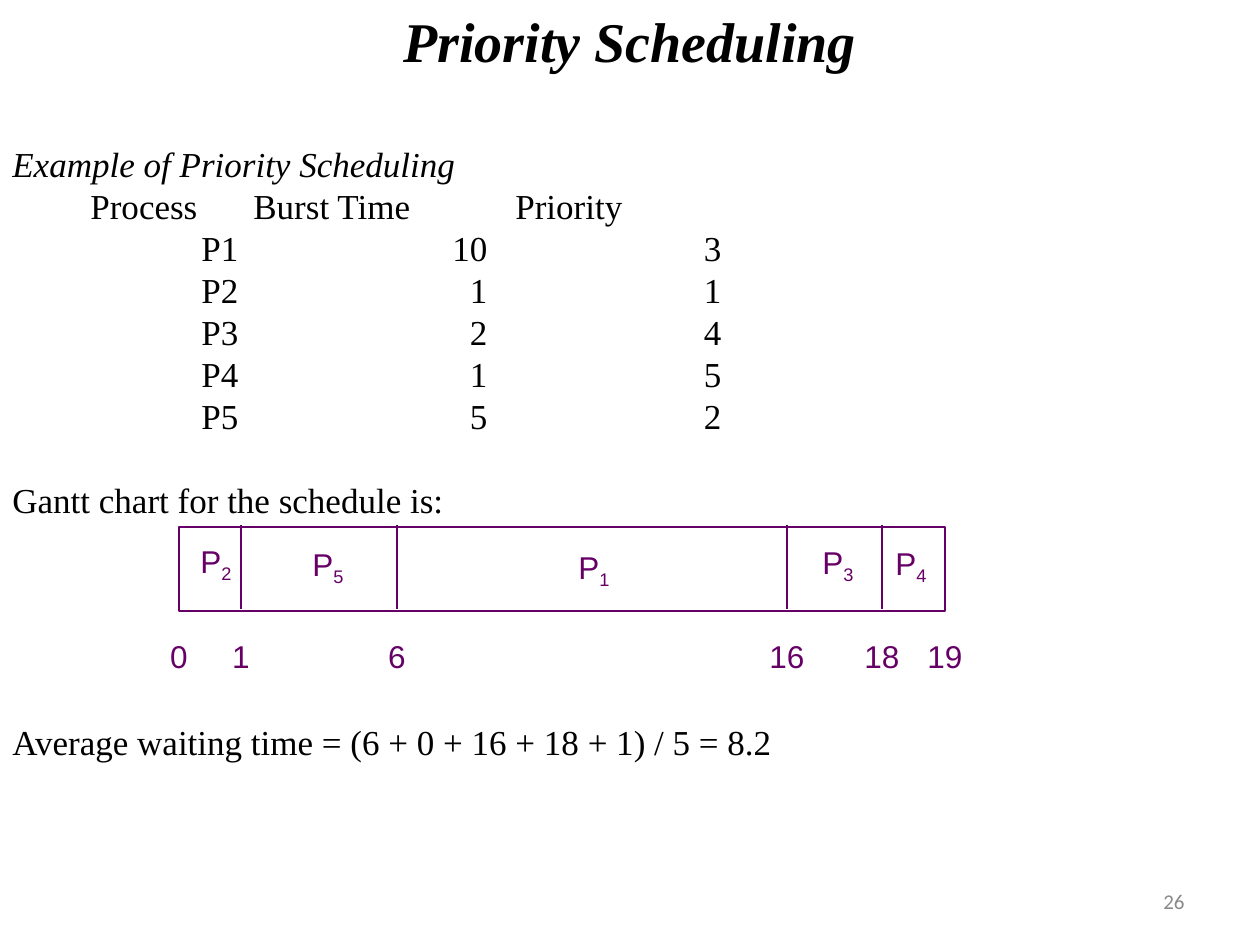
from dataclasses import dataclass

from lxml import etree
from pptx import Presentation
from pptx.dml.color import RGBColor
from pptx.enum.shapes import MSO_CONNECTOR, MSO_SHAPE
from pptx.enum.text import MSO_ANCHOR, PP_ALIGN
from pptx.oxml.ns import qn
from pptx.util import Emu, Pt

LEFT, CENTER, RIGHT = PP_ALIGN.LEFT, PP_ALIGN.CENTER, PP_ALIGN.RIGHT
TOP, MIDDLE = MSO_ANCHOR.TOP, MSO_ANCHOR.MIDDLE
RECTANGLE = MSO_SHAPE.RECTANGLE
STRAIGHT = MSO_CONNECTOR.STRAIGHT
PX_PER_INCH = 126
SLIDE_W, SLIDE_H = 1260, 945


@dataclass(frozen=True)
class Theme:
    ink: RGBColor = RGBColor(0x00, 0x00, 0x00)
    paper: RGBColor = RGBColor(0xFF, 0xFF, 0xFF)
    gantt: RGBColor = RGBColor(0x66, 0x00, 0x66)
    muted: RGBColor = RGBColor(0x89, 0x89, 0x89)
    serif: str = "Times New Roman"
    sans: str = "Arial"
    footer_font: str = "Calibri"
    title_size: int = 32
    body_size: int = 20
    label_size: int = 18
    footer_size: int = 12
    body_leading: int = 24
    line_width: float = 0.75


THEME = Theme()

HEADER = ("Process", "Burst Time", "Priority")
HEADER_TABS = ((78, "l"), (241, "l"), (503, "l"))
PROCESSES = (("P1", 10, 3), ("P2", 1, 1), ("P3", 2, 4), ("P4", 1, 5), ("P5", 5, 2))
PROCESS_TABS = ((189, "l"), (475, "r"), (709, "r"))

BAR_TOP, BAR_HEIGHT = 527, 84
TIME_MARKS = ((0, 179), (1, 241), (6, 397), (16, 787), (18, 882), (19, 945))
# process number, centre x, centre y
BAR_LABELS = ((2, 216, 563), (5, 328, 566), (1, 594, 569), (3, 838, 564), (4, 911, 565))


def px(length):
    return Emu(round(length * 914400 / PX_PER_INCH))


def add_run(paragraph, text, *, size=THEME.body_size, font=THEME.serif,
            color=THEME.ink, bold=False, italic=False, baseline=0):
    """Append a run; baseline is a percentage, negative for a subscript."""
    run = paragraph.add_run()
    run.text = text
    run.font.size, run.font.name = Pt(size), font
    run.font.bold, run.font.italic = bold, italic
    run.font.color.rgb = color
    if baseline:
        run.font._element.set("baseline", str(baseline * 1000))


def add_text_box(slide, left, top, width, height, *, align=LEFT, anchor=TOP, wrap=True):
    """Add an empty text box and return its text frame."""
    frame = slide.shapes.add_textbox(px(left), px(top), px(width), px(height)).text_frame
    frame.word_wrap = wrap
    frame.vertical_anchor = anchor
    frame.paragraphs[0].alignment = align
    return frame


def set_tabs(paragraph, tabs):
    tab_list = etree.SubElement(paragraph._p.get_or_add_pPr(), qn("a:tabLst"))
    for position, alignment in tabs:
        etree.SubElement(tab_list, qn("a:tab"), pos=str(px(position)), algn=alignment)


def add_body_line(frame, text, tabs=(), space_before=0, **text_format):
    paragraph = frame.add_paragraph() if frame.text else frame.paragraphs[0]
    paragraph.line_spacing = Pt(THEME.body_leading)
    if space_before:
        paragraph.space_before = Pt(space_before)
    if tabs:
        set_tabs(paragraph, tabs)
    add_run(paragraph, text, **text_format)


def add_table_line(frame, cells, tabs):
    add_body_line(frame, "".join(f"\t{cell}" for cell in cells), tabs)


def add_example(slide):
    example = add_text_box(slide, 0, 136, SLIDE_W, 391)
    add_body_line(example, "Example of Priority Scheduling", italic=True)
    add_table_line(example, HEADER, HEADER_TABS)
    for process in PROCESSES:
        add_table_line(example, process, PROCESS_TABS)
    add_body_line(example, "Gantt chart for the schedule is:",
                  space_before=THEME.body_leading)


def add_gantt_label(slide, center_x, center_y, text, subscript=""):
    width, height = 60, 54
    frame = add_text_box(slide, center_x - width // 2, center_y - height // 2,
                         width, height, align=CENTER, anchor=MIDDLE, wrap=False)
    label_format = dict(size=THEME.label_size, font=THEME.sans, color=THEME.gantt)
    add_run(frame.paragraphs[0], text, **label_format)
    if subscript:
        add_run(frame.paragraphs[0], subscript, baseline=-25, **label_format)


def add_divider(slide, x):
    top = BAR_TOP - 2
    divider = slide.shapes.add_connector(
        STRAIGHT, px(x), px(top), px(x), px(top + BAR_HEIGHT))
    divider.line.color.rgb = THEME.gantt
    divider.line.width = Pt(THEME.line_width)
    etree.SubElement(divider._element.spPr, qn("a:effectLst"))


def add_gantt_chart(slide):
    start, end = TIME_MARKS[0][1], TIME_MARKS[-1][1]
    bar = slide.shapes.add_shape(
        RECTANGLE, px(start), px(BAR_TOP), px(end - start), px(BAR_HEIGHT))
    bar.shadow.inherit = False
    bar.fill.solid()
    bar.fill.fore_color.rgb = THEME.paper
    bar.line.color.rgb = THEME.gantt
    bar.line.width = Pt(THEME.line_width)

    for _, x in TIME_MARKS[1:-1]:
        add_divider(slide, x)
    for number, x, y in BAR_LABELS:
        add_gantt_label(slide, x, y, "P", str(number))
    for time, x in TIME_MARKS:
        add_gantt_label(slide, x, 656, str(time))


def main():
    presentation = Presentation()
    presentation.slide_width, presentation.slide_height = px(SLIDE_W), px(SLIDE_H)
    slide = presentation.slides.add_slide(presentation.slide_layouts[6])

    page_number = add_text_box(slide, 903, 876, 294, 50, align=RIGHT, anchor=MIDDLE)
    add_run(page_number.paragraphs[0], "26", size=THEME.footer_size,
            font=THEME.footer_font, color=THEME.muted)

    add_example(slide)
    add_gantt_chart(slide)

    average = add_text_box(slide, 0, 714, SLIDE_W, 55)
    add_body_line(average, "Average waiting time = (6 + 0 + 16 + 18 + 1) / 5 = 8.2")

    title = add_text_box(slide, 0, 0, SLIDE_W, 63, align=CENTER)
    add_run(title.paragraphs[0], "Priority Scheduling", size=THEME.title_size,
            bold=True, italic=True)

    presentation.save("out.pptx")


if __name__ == "__main__":
    main()
